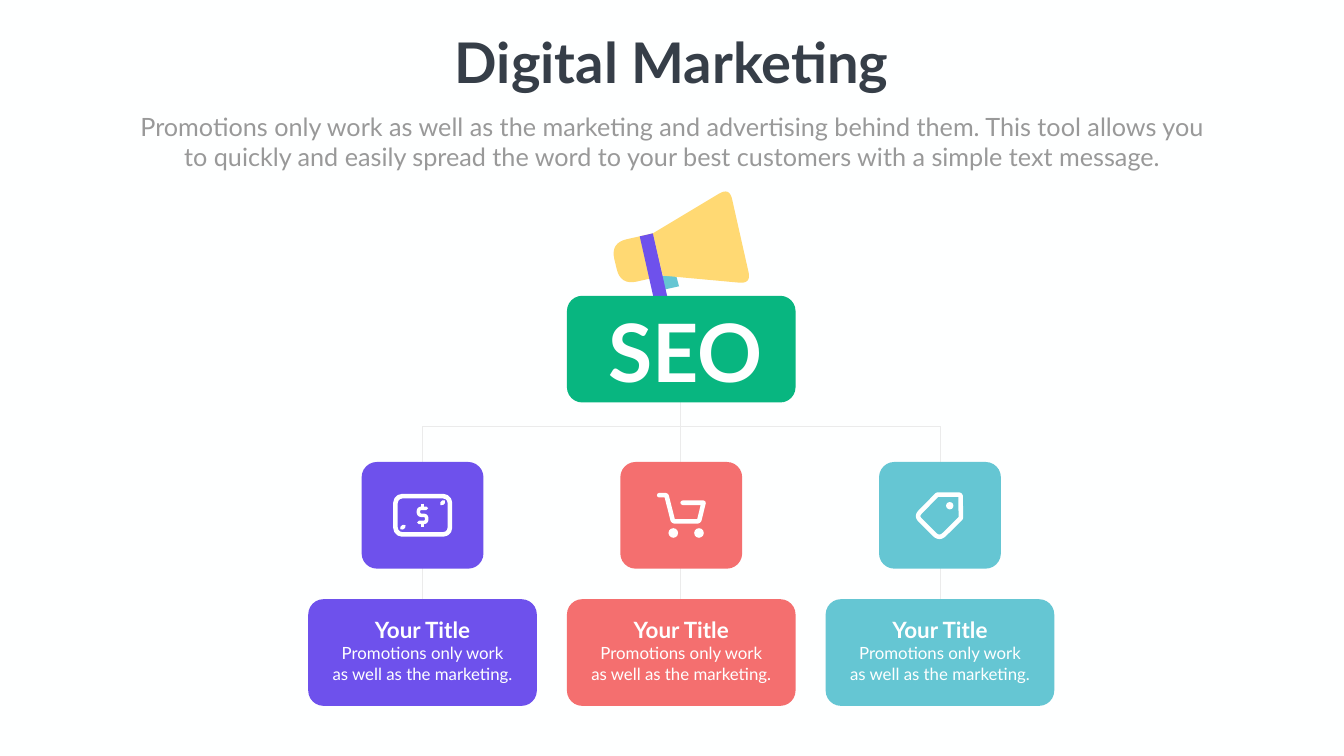
from math import dist

from lxml.etree import SubElement
from pptx import Presentation
from pptx.dml.color import RGBColor
from pptx.enum.shapes import MSO_CONNECTOR as CONNECTOR, MSO_SHAPE as SHAPE
from pptx.enum.text import MSO_ANCHOR as ANCHOR, MSO_AUTO_SIZE as AUTO_SIZE, PP_ALIGN as ALIGN
from pptx.oxml.ns import qn
from pptx.util import Pt

FONT = "Lato"
WHITE, DARK, GREY, RULE = "FEFFFF", "363E48", "999999", "EBEBEB"
PURPLE, RED, TEAL = "6E51EC", "F46F6F", "65C6D3"
GREEN, YELLOW = "08B680", "FFD973"

TITLE = "Digital Marketing"
INTRO = ("Promotions only work as well as the marketing and advertising behind them. "
         "This tool allows you to quickly and easily spread the word to your best "
         "customers with a simple text message.")
HUB = "SEO"
CARD_TITLE = "Your Title"
CARD_LINES = ["Promotions only work", "as well as the marketing."]
BRANCHES = [PURPLE, RED, TEAL]

# Layout, in points
CENTER, PITCH = 973, 369.5
CARD_W, TILE_W, BOX_H, RADIUS = 326.5, 174, 152.4, 21.8
HUB_TOP, FORK_Y, TILE_TOP, CARD_TOP = 422.6, 608.4, 660, 856
STROKE = 6.5

# Outlines: corners as (x, y, rounding)
MEGAPHONE = [
    (TEAL, [(969.8, 409, 0), (941, 415.4, 0), (936.7, 396, 0), (964.8, 390.2, 0)]),
    (YELLOW, [(946.8, 393.8, 0), (886.3, 407.5, 24), (871.9, 347, 24), (932.4, 333.4, 0)]),
    (YELLOW, [(946.8, 393.8, 0), (932.4, 333.4, 0), (1041.8, 267.8, 17), (1072.8, 405.4, 17)]),
    (PURPLE, [(932.4, 333.4, 0), (913.7, 337.7, 0), (940.3, 455.8, 6), (959, 450, 6)]),
]
TAG = [(1338.5, 706.7, 0), (1372, 706.7, 3), (1372.3, 740.2, 0), (1341.7, 770.4, 10),
       (1308.5, 737.3, 8)]
CART = [(941.4, 707.4, 0), (951.8, 707.4, 2), (961.2, 744.8, 3), (998.3, 744.8, 3),
        (1004.8, 718.2, 0), (974.9, 718.2, 0)]
DOLLAR = [(609.1, 726.1, 0), (597.6, 726.1, 5), (597.6, 736.2, 5), (609.5, 736.2, 5),
          (609.5, 746.3, 5), (598.3, 746.3, 0)]
DOLLAR_BARS = [(603.7, 719.3, 603.7, 725), (603.7, 747.5, 603.7, 752.4)]
BILL_MARKS = [(630.9, 719.5, 633.4, 716.9), (573.8, 754.3, 577, 751.9)]
BILL = (564.8, 708.8, 77.8, 54.7)
DOTS = [(961.6, 761.4, 13.7), (998.3, 761.4, 13.7), (1356.5, 722.5, 10.5)]  # x, y, diameter


def rgb(value):
    return RGBColor.from_string(value)


def paint(shape, fill=None, line=None, width=1.0):
    shape.shadow.inherit = False
    if fill:
        shape.fill.solid()
        shape.fill.fore_color.rgb = rgb(fill)
    else:
        shape.fill.background()
    if line:
        shape.line.color.rgb = rgb(line)
        shape.line.width = Pt(width)
    else:
        shape.line.fill.background()
    return shape


def add_box(s, kind, x, y, w, h, radius=None, **style):
    shape = s.shapes.add_shape(kind, Pt(x), Pt(y), Pt(w), Pt(h))
    if radius:
        shape.adjustments[0] = radius / min(w, h)
    return paint(shape, **style)


def add_line(s, ends, color, width, cap="flat"):
    line = s.shapes.add_connector(CONNECTOR.STRAIGHT, *map(Pt, ends))
    line.line.color.rgb = rgb(color)
    line.line.width = Pt(width)
    line.get_or_add_ln().set("cap", cap)
    SubElement(line._element.spPr, qn("a:effectLst"))


def round_corners(corners, closed, steps=8):
    """Replace each rounded corner by points on a quadratic curve."""
    points = []
    for i, (x, y, r) in enumerate(corners):
        if not r or (not closed and i in (0, len(corners) - 1)):
            points.append((x, y))
            continue
        ends = []
        for nx, ny, _ in (corners[i - 1], corners[(i + 1) % len(corners)]):
            t = min(r / dist((x, y), (nx, ny)), 0.5)
            ends.append((x + (nx - x) * t, y + (ny - y) * t))
        (ax, ay), (bx, by) = ends
        for k in range(steps + 1):
            t = k / steps
            a, m, b = (1 - t) ** 2, 2 * t * (1 - t), t * t
            points.append((a * ax + m * x + b * bx, a * ay + m * y + b * by))
    return points


def add_outline(s, corners, closed=True, cap="flat", **style):
    points = [(Pt(x), Pt(y)) for x, y in round_corners(corners, closed)]
    builder = s.shapes.build_freeform(*points[0])
    builder.add_line_segments(points[1:], close=closed)
    shape = paint(builder.convert_to_shape(), **style)
    if style.get("line"):
        shape.get_or_add_ln().set("cap", cap)


def write(shape, lines, anchor=ANCHOR.TOP, wrap=True):
    """Fill a shape with centred paragraphs given as (text, size, colour, bold)."""
    tf = shape.text_frame
    tf.auto_size = AUTO_SIZE.NONE
    tf.word_wrap = wrap
    tf.vertical_anchor = anchor
    for i, (text, size, color, bold) in enumerate(lines):
        p = tf.add_paragraph() if i else tf.paragraphs[0]
        p.text = text
        p.alignment = ALIGN.CENTER
        p.space_before = Pt(0)
        p.font.name, p.font.size, p.font.bold = FONT, Pt(size), bold
        p.font.color.rgb = rgb(color)
    return tf


def place(shape, x, y, w, h):
    shape.left, shape.top, shape.width, shape.height = map(Pt, (x, y, w, h))


def add_icons(s):
    ink = dict(line=WHITE, width=STROKE)
    add_box(s, SHAPE.ROUNDED_RECTANGLE, *BILL, radius=9.7, **ink)
    add_outline(s, DOLLAR, closed=False, cap="rnd", line=WHITE, width=5)
    for bar in DOLLAR_BARS:
        add_line(s, bar, WHITE, 5)
    for mark in BILL_MARKS:
        add_line(s, mark, WHITE, 5.5, "rnd")
    add_outline(s, CART, closed=False, cap="rnd", **ink)
    add_outline(s, TAG, **ink)
    for x, y, d in DOTS:
        add_box(s, SHAPE.OVAL, x - d / 2, y - d / 2, d, d, fill=WHITE)


def main():
    prs = Presentation()
    prs.slide_width, prs.slide_height = Pt(1919.52), Pt(1080)
    s = prs.slides.add_slide(prs.slide_layouts[0])
    s.background.fill.solid()
    s.background.fill.fore_color.rgb = rgb(WHITE)

    title, intro = s.placeholders
    place(title, 635, 35.3, 648.7, 104.4)
    write(title, [(TITLE, 80, DARK, True)], wrap=False)
    place(intro, 193, 154.8, 1533.6, 94.3)
    write(intro, [(INTRO, 36, GREY, False)])

    left, right = CENTER - PITCH, CENTER + PITCH
    add_line(s, (CENTER - 1, HUB_TOP + BOX_H / 2, CENTER - 1, CARD_TOP + BOX_H / 2), RULE, 1)
    fork = [(left, CARD_TOP + BOX_H / 2, 0), (left, FORK_Y, 0),
            (right, FORK_Y, 0), (right, CARD_TOP + BOX_H / 2, 0)]
    add_outline(s, fork, closed=False, line=RULE, width=1)

    for color, corners in MEGAPHONE:
        add_outline(s, corners, fill=color)
    hub = add_box(s, SHAPE.ROUNDED_RECTANGLE, CENTER - CARD_W / 2, HUB_TOP, CARD_W, BOX_H,
                  RADIUS, fill=GREEN)
    tf = write(hub, [(HUB, 115, WHITE, True)], ANCHOR.MIDDLE, wrap=False)
    tf.margin_left, tf.margin_right = Pt(19), Pt(7)
    tf.margin_top, tf.margin_bottom = Pt(4), Pt(0)

    card_text = [(CARD_TITLE, 32, WHITE, True)] + [(t, 24, WHITE, False) for t in CARD_LINES]
    for i, color in enumerate(BRANCHES):
        x = left + i * PITCH
        add_box(s, SHAPE.ROUNDED_RECTANGLE, x - TILE_W / 2, TILE_TOP, TILE_W, BOX_H,
                RADIUS, fill=color)
        card = add_box(s, SHAPE.ROUNDED_RECTANGLE, x - CARD_W / 2, CARD_TOP, CARD_W, BOX_H,
                       RADIUS, fill=color)
        tf = write(card, card_text)
        tf.margin_top = Pt(18)  # the rounded corner adds about 6 pt
    add_icons(s)
    prs.save("out.pptx")


if __name__ == "__main__":
    main()
